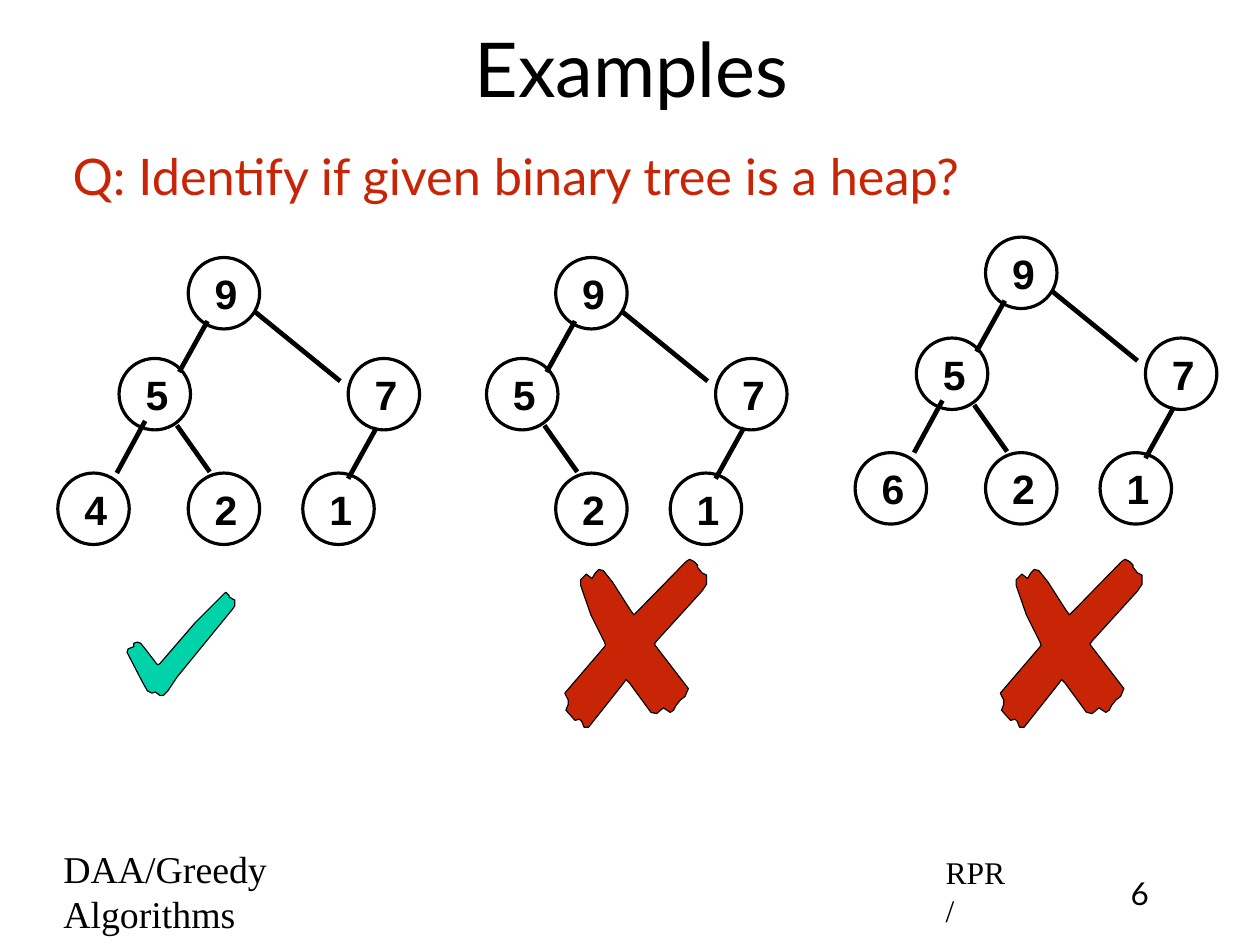
from dataclasses import dataclass

from lxml import etree
from pptx import Presentation
from pptx.dml.color import RGBColor
from pptx.enum.shapes import MSO_CONNECTOR, MSO_SHAPE
from pptx.enum.text import MSO_ANCHOR, PP_ALIGN
from pptx.oxml.ns import qn
from pptx.util import Inches, Pt

LEFT, CENTER = PP_ALIGN.LEFT, PP_ALIGN.CENTER
TOP, MIDDLE = MSO_ANCHOR.TOP, MSO_ANCHOR.MIDDLE
OVAL = MSO_SHAPE.OVAL
STRAIGHT = MSO_CONNECTOR.STRAIGHT


@dataclass(frozen=True)
class Theme:
    """Colours, fonts and sizes of the slide."""
    ink: RGBColor = RGBColor(0x00, 0x00, 0x00)
    red: RGBColor = RGBColor(0xC8, 0x25, 0x06)
    green: RGBColor = RGBColor(0x00, 0xD2, 0xA9)
    sans: str = "Lato"
    serif: str = "Times New Roman"
    node_font: str = "Arial"
    title: int = 48
    question: int = 32
    node: int = 26
    footer: int = 24
    small: int = 20
    node_line: float = 2
    edge_line: float = 3
    mark_line: float = 0.75


THEME = Theme()
NODE_SIZE = 0.63

# fmt: off
NODES = {
    "root": (0, 0), "left": (-0.61, 0.89), "right": (1.41, 0.89),
    "left.left": (-1.15, 1.9), "left.right": (0, 1.9), "right.left": (1.01, 1.9),
}
EDGES = {
    "left": (-0.08, 1.01, 0.17, 0.56),
    "right": (1.34, 1.09, 0.59, 0.48),
    "left.left": (-0.63, 1.9, -0.38, 1.44),
    "left.right": (0.19, 1.89, -0.1, 1.48),
    "right.left": (1.41, 1.95, 1.66, 1.5),
}
TICK = [
    (87, 0), (60, 27), (29, 63), (27, 64), (26, 63), (16, 50), (12, 45), (9, 44),
    (6, 45), (6, 48), (1, 50), (0, 53), (14, 80), (18, 87), (22, 89), (25, 88),
    (29, 91), (32, 91), (36, 87), (44, 75), (93, 15), (95, 12), (95, 7), (93, 6),
    (90, 4), (90, 3),
]
CROSS = [
    (110, 0), (107, 2), (64, 46), (61, 49), (58, 45), (42, 20), (34, 10), (30, 9),
    (27, 12), (24, 17), (19, 13), (14, 18), (14, 23), (23, 49), (35, 73), (36, 76),
    (0, 118), (3, 124), (3, 128), (1, 133), (9, 142), (13, 141), (15, 143),
    (17, 148), (21, 148), (52, 109), (54, 106), (57, 109), (76, 135), (81, 136),
    (87, 131), (93, 135), (96, 133), (98, 129), (102, 124), (106, 121), (109, 114),
    (79, 75), (81, 72), (121, 28), (125, 22), (125, 14), (121, 12), (117, 7),
    (117, 5), (114, 2),
]
# fmt: on


def set_text(s, text, font, size, color, align=LEFT, anchor=MIDDLE, indent=0.04, bold=False):
    """Fill a shape with one formatted paragraph and return it."""
    tf = s.text_frame
    tf.text = text
    tf.word_wrap = True
    tf.vertical_anchor = anchor
    tf.margin_left = Inches(0.06 + indent)
    tf.margin_top = tf.margin_right = tf.margin_bottom = Inches(0.06)
    p = tf.paragraphs[0]
    p.alignment = align
    f = p.runs[0].font
    f.name, f.size, f.bold = font, Pt(size), bold
    f.color.rgb = color
    return p


def add_text(slide, box, *args, **kwargs):
    """Add a text box and return its paragraph."""
    s = slide.shapes.add_textbox(*map(Inches, box))
    return set_text(s, *args, **kwargs)


def add_node(group, x, y, key):
    """Add a tree node with its key."""
    s = group.shapes.add_shape(OVAL, *map(Inches, (x, y, NODE_SIZE, NODE_SIZE)))
    s.shadow.inherit = False
    s.fill.background()
    s.line.color.rgb = THEME.ink
    s.line.width = Pt(THEME.node_line)
    set_text(s, key, THEME.node_font, THEME.node, THEME.ink, CENTER, bold=True)


def add_edge(group, x1, y1, x2, y2):
    """Add a line between a child and its parent."""
    s = group.shapes.add_connector(STRAIGHT, *map(Inches, (x1, y1, x2, y2)))
    s.line.color.rgb = THEME.ink
    s.line.width = Pt(THEME.edge_line)
    etree.SubElement(s._element.spPr, qn("a:effectLst"))


def add_tree(slide, x, y, keys):
    """Add a binary tree whose root has its corner at x, y."""
    group = slide.shapes.add_group_shape()
    for place, key in keys.items():
        dx, dy = NODES[place]
        add_node(group, x + dx, y + dy, key)
    for place in keys:
        if place in EDGES:
            x1, y1, x2, y2 = EDGES[place]
            add_edge(group, x + x1, y + y1, x + x2, y + y2)


def add_mark(slide, x, y, points, color):
    """Add a tick or cross outlined in hundredths of an inch."""
    builder = slide.shapes.build_freeform(*points[0], scale=Inches(0.01))
    builder.add_line_segments(points[1:], close=True)
    s = builder.convert_to_shape(Inches(x), Inches(y))
    s.shadow.inherit = False
    s.fill.solid()
    s.fill.fore_color.rgb = color
    s.line.color.rgb = THEME.ink
    s.line.width = Pt(THEME.mark_line)


def main():
    """Build the slide and save it."""
    prs = Presentation()
    prs.slide_width, prs.slide_height = Inches(11.11), Inches(8.33)
    slide = prs.slides.add_slide(prs.slide_layouts[6])
    t = THEME

    add_text(slide, (0.83, 0.07, 9.44, 1.04), "Examples", t.sans, t.title, t.ink, CENTER)
    p = add_text(slide, (0.58, 1.28, 8.89, 0.82), "Q: Identify if given binary tree is a heap?",
                 t.sans, t.question, t.red, anchor=TOP, indent=0)
    p.line_spacing = 0.9
    p.space_before = Pt(7)

    full = {"root": "9", "left": "5", "left.left": "4", "left.right": "2",
            "right": "7", "right.left": "1"}
    gap = {place: key for place, key in full.items() if place != "left.left"}
    add_tree(slide, 1.66, 2.27, full)
    add_tree(slide, 4.9, 2.27, gap)
    add_tree(slide, 8.69, 2.09, {**full, "left.left": "6"})

    add_mark(slide, 1.12, 5.22, TICK, t.green)
    for x in (4.98, 8.82):
        add_mark(slide, x, 4.93, CROSS, t.red)

    add_text(slide, (0.46, 7.62, 2.5, 0.47), "DAA/Greedy Algorithms", t.serif, t.footer, t.ink)
    add_text(slide, (8.24, 7.64, 0.7, 0.42), "RPR/", t.serif, t.small, t.ink)
    add_text(slide, (9.72, 7.64, 0.66, 0.42), "6", t.sans, t.small, t.ink, CENTER, TOP, 0)
    prs.save("out.pptx")


if __name__ == "__main__":
    main()
